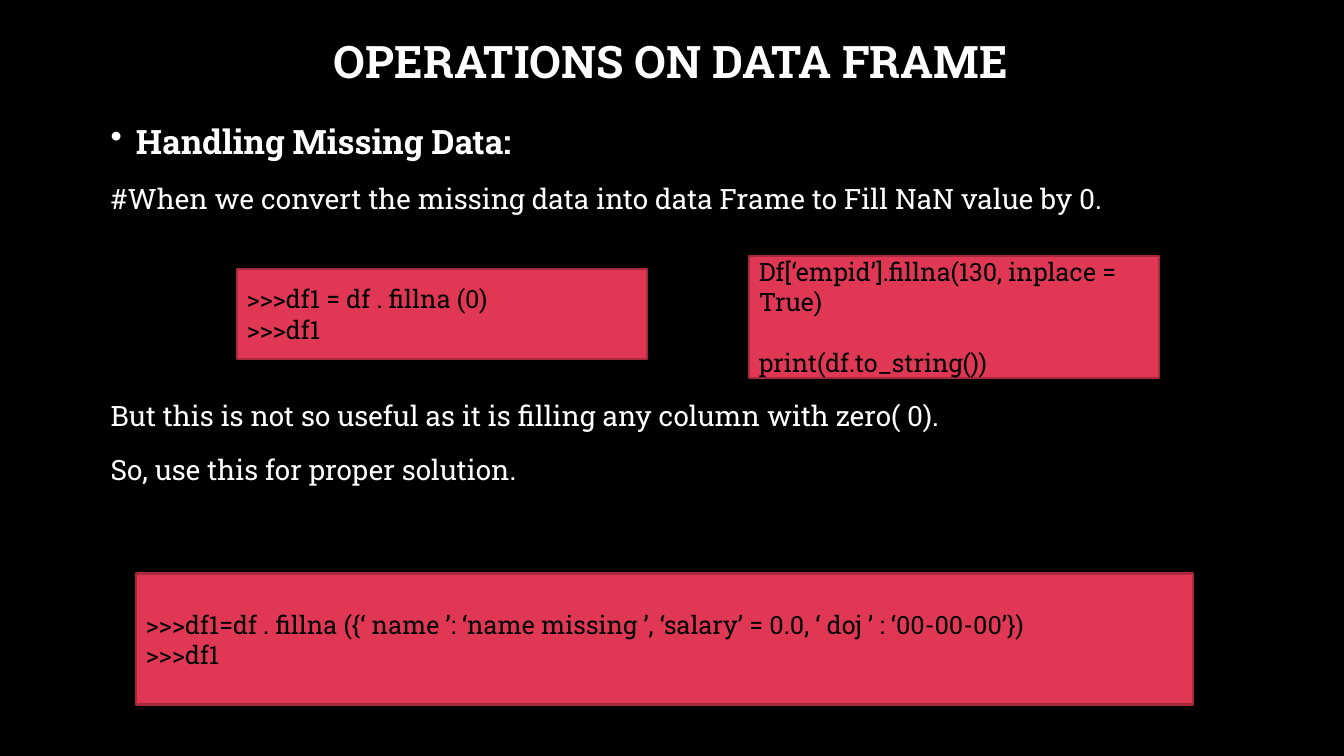
import pptx
import pptx.dml.color
import pptx.enum.shapes
import pptx.enum.text
import pptx.util
import lxml.etree

FONT = "Roboto Slab"
WHITE, BLACK, RED, DARK_RED = "FFFFFF", "000000", "E03754", "A6293E"
COLUMN = pptx.util.Inches(13.33) / 40
ROW = pptx.util.Inches(7.5) / 30

TITLE_BOX = (3, 0.36, 33.96, 4.32)
BODY_BOX = (3, 4.28, 33.96, 24.24)
CODE_BOXES = [
    ((7.05, 10.68, 12.21, 3.56), [(">>>df1 = df . fillna (0)", 0), (">>>df1", 0)]),
    ((4.05, 22.76, 31.47, 5.2), [
        (">>>df1=df . fillna ({‘ name ’: ‘name missing ’, ‘salary’ = 0.0, ‘ doj ’ : ‘00-00-00’})", 0),
        (">>>df1", 0),
    ]),
    ((22.29, 10.16, 12.21, 4.84), [
        ("Df[‘empid’].fillna(130, inplace = True)", 0),
        ("print(df.to_string())", 22),
    ]),
]
BODY_LINES = [
    ("Handling Missing Data:", 24, True, 10),
    ("#When we convert the missing data into data Frame to Fill NaN value by 0.", 20, False, 10),
    ("But this is not so useful as it is filling any column with zero( 0).", 20, False, 126),
    ("So, use this for proper solution.", 20, False, 10),
]


def color(value):
    return pptx.dml.color.RGBColor.from_string(value)


def cells(box):
    left, top, width, height = box
    return int(left * COLUMN), int(top * ROW), int(width * COLUMN), int(height * ROW)


def write(paragraph, text, size, ink, bold=False, space_before=0):
    paragraph.text = text
    paragraph.space_before = pptx.util.Pt(space_before)
    paragraph.font.name = FONT
    paragraph.font.size = pptx.util.Pt(size)
    paragraph.font.bold = bold
    paragraph.font.color.rgb = color(ink)


def paragraphs(frame, count):
    for _ in range(count - 1):
        frame.add_paragraph()
    return frame.paragraphs


def add_bullet(paragraph, indent):
    properties = paragraph._p.get_or_add_pPr()
    properties.set("marL", str(indent))
    properties.set("indent", str(-indent))
    bullet = lxml.etree.Element(pptx.oxml.ns.qn("a:buChar"), char="•")
    properties.find(pptx.oxml.ns.qn("a:defRPr")).addprevious(bullet)


def fill_title(slide, box):
    title = slide.shapes.title
    title.left, title.top, title.width, title.height = cells(box)
    frame = title.text_frame
    frame.auto_size = pptx.enum.text.MSO_AUTO_SIZE.NONE
    frame.vertical_anchor = pptx.enum.text.MSO_ANCHOR.MIDDLE
    paragraph = frame.paragraphs[0]
    write(paragraph, "OPERATIONS ON DATA FRAME", 32, WHITE, True)
    paragraph.alignment = pptx.enum.text.PP_ALIGN.CENTER
    paragraph.line_spacing = 0.9


def add_body(slide, box):
    frame = slide.shapes.add_textbox(*cells(box)).text_frame
    frame.word_wrap = True
    lines = paragraphs(frame, len(BODY_LINES))
    for paragraph, (text, size, bold, space_before) in zip(lines, BODY_LINES):
        write(paragraph, text, size, WHITE, bold, space_before)
        paragraph.line_spacing = 1.2
    add_bullet(lines[0], pptx.util.Inches(0.25))


def add_code(slide, box, code_lines):
    shape = slide.shapes.add_shape(pptx.enum.shapes.MSO_SHAPE.RECTANGLE, *cells(box))
    shape.shadow.inherit = False
    shape.fill.solid()
    shape.fill.fore_color.rgb = color(RED)
    shape.line.color.rgb = color(DARK_RED)
    shape.line.width = pptx.util.Pt(1.5)
    frame = shape.text_frame
    frame.word_wrap = True
    frame.vertical_anchor = pptx.enum.text.MSO_ANCHOR.MIDDLE
    for paragraph, (text, space_before) in zip(paragraphs(frame, len(code_lines)), code_lines):
        write(paragraph, text, 18, BLACK, space_before=space_before)
        paragraph.alignment = pptx.enum.text.PP_ALIGN.LEFT


def main():
    presentation = pptx.Presentation()
    presentation.slide_width = pptx.util.Inches(13.33)
    presentation.slide_height = pptx.util.Inches(7.5)
    slide = presentation.slides.add_slide(presentation.slide_layouts.get_by_name("Title Only"))
    slide.background.fill.solid()
    slide.background.fill.fore_color.rgb = color(BLACK)
    fill_title(slide, TITLE_BOX)
    add_body(slide, BODY_BOX)
    for box, code_lines in CODE_BOXES:
        add_code(slide, box, code_lines)
    presentation.save("out.pptx")


if __name__ == "__main__":
    main()
